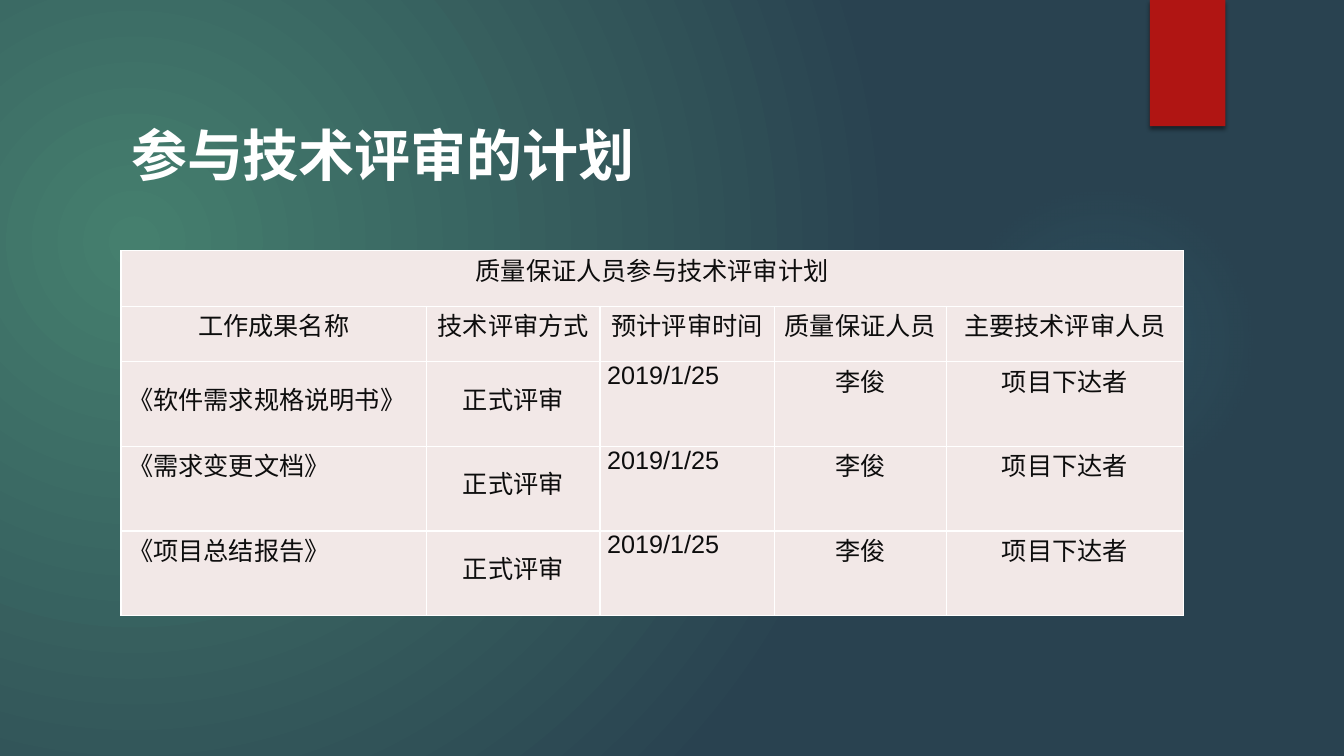
from dataclasses import dataclass

from lxml import etree
from pptx import Presentation
from pptx.dml.color import RGBColor
from pptx.enum import shapes, text
from pptx.oxml import ns
from pptx.util import Cm, Pt


@dataclass(frozen=True)
class Theme:
    title_font: str = "League Spartan"
    body_font: str = "Arial"
    title_size: int = 40
    body_size: int = 18
    white: str = "FFFFFF"
    ink: str = "0D0D0D"
    cell: str = "F2E8E7"
    ribbon: str = "B01513"
    glow: str = "50B9C1"
    back_inner: str = "457F6E"
    back_outer: str = "294250"


THEME = Theme()
A = f'xmlns:a="{ns.nsdecls("a").split(chr(34))[1]}"'
CENTER, JUSTIFY = text.PP_ALIGN.CENTER, text.PP_ALIGN.JUSTIFY

CAPTION = "质量保证人员参与技术评审计划"
HEADINGS = ["工作成果名称", "技术评审方式", "预计评审时间", "质量保证人员", "主要技术评审人员"]
DOCUMENTS = ["《软件需求规格说明书》", "《需求变更文档》", "《项目总结报告》"]
REVIEW = ["正式评审", "2019/1/25", "李俊", "项目下达者"]
ALIGNMENTS = [JUSTIFY, CENTER, JUSTIFY, CENTER, CENTER]
COLUMN_WIDTHS = [7.7, 4.37, 4.39, 4.34, 5.97]
ROW_HEIGHTS = [1.4, 1.4, 2.13, 2.13, 2.13]


def rgb(code):
    return RGBColor.from_string(code)


def radial_fill(stops, focus):
    """Radial gradient from (percent, colour, opacity) stops; focus is left, top, right, bottom."""
    marks = "".join(
        f'<a:gs pos="{place * 1000}"><a:srgbClr val="{color}">'
        f'<a:alpha val="{opacity * 1000}"/></a:srgbClr></a:gs>'
        for place, color, opacity in stops)
    rect = " ".join(f'{side}="{value * 1000}"' for side, value in zip("ltrb", focus))
    return etree.fromstring(
        f'<a:gradFill {A} rotWithShape="1"><a:gsLst>{marks}</a:gsLst>'
        f'<a:path path="circle"><a:fillToRect {rect}/></a:path></a:gradFill>')


def swap_solid_fill(parent, gradient):
    parent.replace(parent.find(ns.qn("a:solidFill")), gradient)


def add_backdrop(page):
    page.background.fill.solid()
    swap_solid_fill(
        page.element.find(".//" + ns.qn("p:bgPr")),
        radial_fill([(0, THEME.back_inner, 100), (100, THEME.back_outer, 100)],
                    (45, 65, 125, 100)))


def add_plain_shape(page, kind, box, color):
    shape = page.shapes.add_shape(kind, *map(Cm, box))
    shape.shadow.inherit = False
    shape.fill.solid()
    shape.fill.fore_color.rgb = rgb(color)
    shape.line.fill.background()
    return shape


def add_glow(page, box):
    glow = add_plain_shape(page, shapes.MSO_SHAPE.OVAL, box, THEME.glow)
    stops = [(0, THEME.glow, 7), (36, THEME.glow, 6), (69, THEME.glow, 0)]
    swap_solid_fill(glow.element.spPr, radial_fill(stops, (50, 50, 50, 50)))


def add_ribbon(page, box):
    ribbon = add_plain_shape(page, shapes.MSO_SHAPE.RECTANGLE, box, THEME.ribbon)
    ribbon.element.spPr.find(ns.qn("a:effectLst")).append(etree.fromstring(
        f'<a:outerShdw {A} blurRad="{Pt(3)}" dist="{Pt(2)}" dir="5400000" rotWithShape="0">'
        '<a:srgbClr val="000000"><a:alpha val="45000"/></a:srgbClr></a:outerShdw>'))


def style_text(para, font, size, color, bold=False):
    for span in para.runs:
        span.font.name = font
        span.font.size = Pt(size)
        span.font.color.rgb = rgb(color)
        span.font.bold = bold


def place_title(page, box):
    title = page.shapes.title
    title.left, title.top, title.width, title.height = map(Cm, box)
    frame = title.text_frame
    frame.text = "参与技术评审的计划"
    frame.word_wrap = False
    frame.auto_size = text.MSO_AUTO_SIZE.SHAPE_TO_FIT_TEXT
    frame.vertical_anchor = text.MSO_ANCHOR.TOP
    para = frame.paragraphs[0]
    para.alignment = text.PP_ALIGN.LEFT
    style_text(para, THEME.title_font, THEME.title_size, THEME.white, bold=True)


def draw_cell(cell, words, alignment, spacing):
    cell.margin_left = cell.margin_right = Cm(0.18)
    cell.margin_top = cell.margin_bottom = 0
    cell.fill.solid()
    cell.fill.fore_color.rgb = rgb(THEME.cell)
    properties = cell._tc.get_or_add_tcPr()
    for index, side in enumerate("LRTB"):
        properties.insert(index, etree.fromstring(
            f'<a:ln{side} {A} w="{Pt(1)}"><a:solidFill><a:srgbClr val="{THEME.white}"/>'
            f'</a:solidFill></a:ln{side}>'))
    cell.text_frame.text = words
    para = cell.text_frame.paragraphs[0]
    para.alignment = alignment
    para.line_spacing = spacing
    style_text(para, THEME.body_font, THEME.body_size, THEME.ink)


def add_review_table(page, left, top):
    rows = [[CAPTION] + [""] * 4, HEADINGS] + [[name] + REVIEW for name in DOCUMENTS]
    box = left, top, sum(COLUMN_WIDTHS), sum(ROW_HEIGHTS)
    table = page.shapes.add_table(len(rows), len(HEADINGS), *map(Cm, box)).table
    table.first_row = table.horz_banding = False
    for column, width in zip(table.columns, COLUMN_WIDTHS):
        column.width = Cm(width)
    for row, height in zip(table.rows, ROW_HEIGHTS):
        row.height = Cm(height)
    for r, row in enumerate(rows):
        for c, words in enumerate(row):
            loose = r >= 2 and c == 1 or (r, c) == (2, 0)
            draw_cell(table.cell(r, c), words,
                      CENTER if r < 2 else ALIGNMENTS[c], 1.5 if loose else 1.0)
    table.cell(0, 0).merge(table.cell(0, len(HEADINGS) - 1))


def build_review_page(deck):
    page = deck.slides.add_slide(deck.slide_layouts.get_by_name("Title Only"))
    add_backdrop(page)
    add_glow(page, (23.9, 4.65, 7.82, 7.82))
    add_ribbon(page, (28.98, 0, 1.9, 3.18))
    place_title(page, (3.05, 2.9, 13.39, 1.96))
    add_review_table(page, 3.05, 6.32)


def main():
    deck = Presentation()
    deck.slide_width, deck.slide_height = Cm(33.87), Cm(19.05)
    build_review_page(deck)
    deck.save("out.pptx")


if __name__ == "__main__":
    main()
